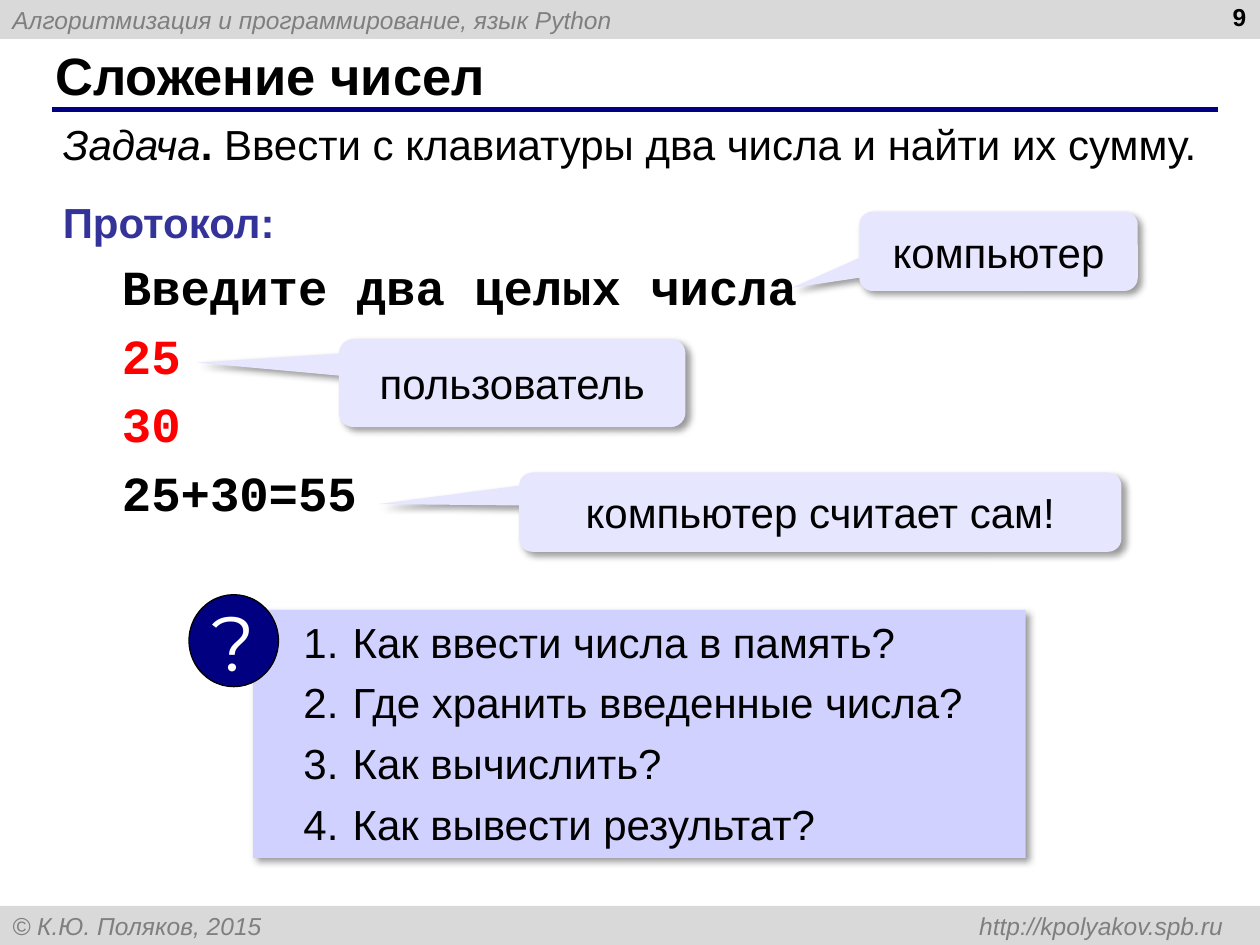
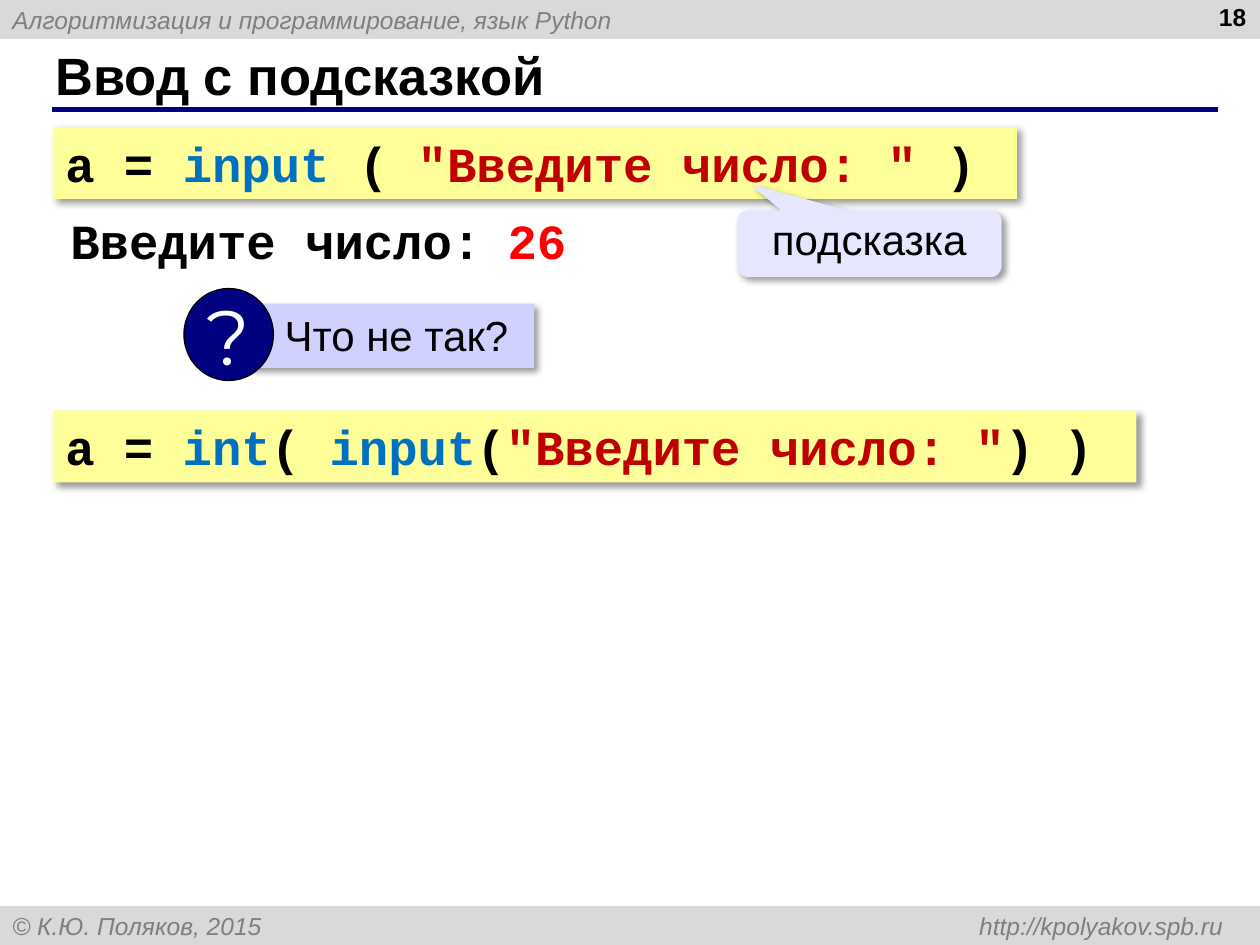
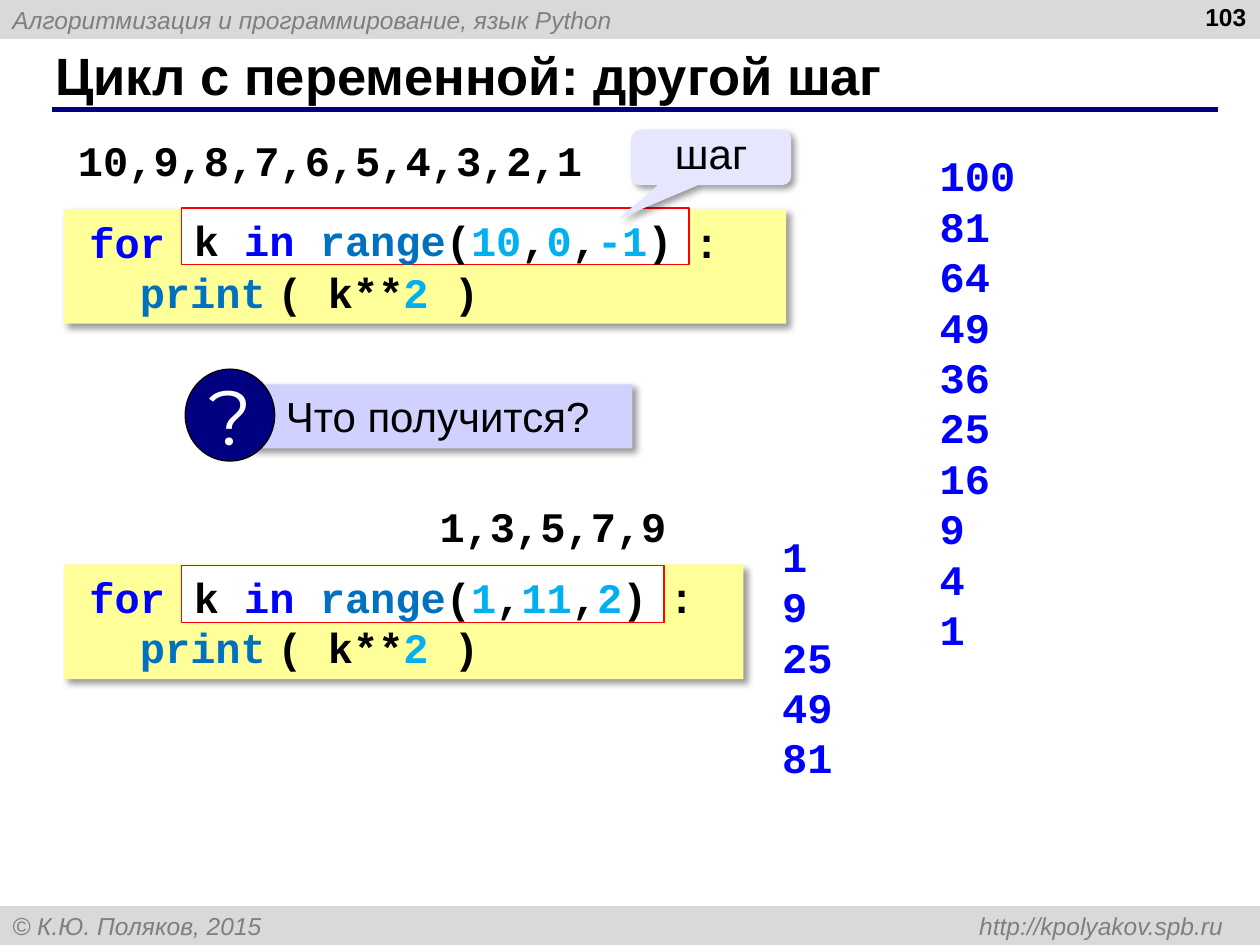
from lxml.etree import SubElement
from pptx import Presentation
from pptx.dml.color import RGBColor
from pptx.enum.shapes import MSO_CONNECTOR, MSO_SHAPE as Kind
from pptx.enum.text import MSO_ANCHOR as Anchor, PP_ALIGN as Align
from pptx.oxml.ns import qn
from pptx.util import Inches, Pt

# Look
HUES = {
    "black": "000000", "white": "FFFFFF", "band": "D9D9D9", "grey": "7F7F7F",
    "navy": "000080", "head": "333399", "red": "FF0000", "call": "E6E6FF",
    "ask": "D1D1FF", "code": "FFFF99", "func": "0070C0", "quote": "C00000",
    "word": "0000FF", "num": "00B0F0",
}
SANS, MONO, MARK = "Arial", "Courier New", "Montserrat"

# Shared content
COURSE = "Алгоритмизация и программирование, язык Python"
FOOT = "© К.Ю. Поляков, 2015\thttp://kpolyakov.spb.ru"

# Slide 9: adding numbers
TASK = [("Задача", "black", {"italic": True}), (". ", "black", {"bold": True}),
        ("Ввести с клавиатуры два числа и найти их сумму.", "black")]
TALK = [("Введите два целых числа", "black"), ("25", "red"),
        ("30", "red"), ("25+30=55", "black")]
NOTES = [
    ("компьютер", (6.82, 1.68, 2.21, 0.63), (-0.742, 0.46)),
    ("пользователь", (2.69, 2.69, 2.75, 0.7), (-0.911, -0.231)),
    ("компьютер считает сам!", (4.12, 3.75, 4.78, 0.63), (-0.733, -0.102)),
]
ASKS = ["Как ввести числа в память?", "Где хранить введенные числа?",
        "Как вычислить?", "Как вывести результат?"]

# Slide 18: input with a prompt
PROMPT = ('"Введите число: "', "quote")
INPUTS = [
    ((0.42, 1.01, 7.65, 0.57),
     [("a = ", "black"), ("input", "func"), (" ( ", "black"), PROMPT, (" )", "black")]),
    ((0.42, 3.26, 8.6, 0.57),
     [("a = ", "black"), ("int", "func"), ("( ", "black"), ("input", "func"),
      ("(", "black"), PROMPT, (") )", "black")]),
]

# Slide 103: loops, as top, width, range box top and width, colon tab, range values
LOOPS = [
    (1.66, 5.73, 1.65, 4.03, 4.8, ["10", "0", "-1"]),
    (4.48, 5.39, 4.49, 3.83, 4.6, ["1", "11", "2"]),
]
LISTS = [("10,9,8,7,6,5,4,3,2,1", (0.52, 1.02, 4.23, 0.51)),
         ("1,3,5,7,9", (3.39, 3.92, 2.02, 0.5))]
RESULTS = [((7.36, 1.14, 0.81, 4.14), range(10, 0, -1)),
           ((6.11, 4.16, 0.6, 2.12), range(1, 11, 2))]
BODY = [("print", "func"), (" ", "black", {"name": SANS}), ("( k**", "black"),
        ("2", "num"), (" )", "black")]


def rgb(hue):
    return RGBColor.from_string(HUES[hue])


def shade(shape):
    fx = SubElement(shape._element.spPr, qn("a:effectLst"))
    drop = SubElement(fx, qn("a:outerShdw"), blurRad=str(Pt(4)), dist=str(Pt(3)),
                      dir="2700000", algn="tl", rotWithShape="0")
    hue = SubElement(drop, qn("a:srgbClr"), val=HUES["black"])
    SubElement(hue, qn("a:alpha"), val="40000")


def box(shapes, at, kind=None, fill=None, line=None, drop=False, anchor=Anchor.TOP):
    """Add a text box or a preset shape."""
    at = [Inches(n) for n in at]
    if kind is None:
        shape = shapes.add_textbox(*at)
    else:
        shape = shapes.add_shape(kind, *at)
        shape.fill.solid()
        shape.fill.fore_color.rgb = rgb(fill)
        if line:
            shape.line.color.rgb = rgb(line)
            shape.line.width = Pt(0.75)
        else:
            shape.line.fill.background()
        if drop:
            shade(shape)
        else:
            shape.shadow.inherit = False
    shape.text_frame.word_wrap = True
    shape.text_frame.vertical_anchor = anchor
    return shape


def write(shape, runs, size=24, face=SANS, hue="black", bold=False, italic=False,
          align=Align.LEFT, left=0, first=0, gap=0, lead=None, tab=None, count=False):
    """Add one paragraph: a string, or a list of (text, hue, font settings)."""
    frame = shape.text_frame
    para = frame.paragraphs[0]
    if para.runs:
        para = frame.add_paragraph()
        para.space_before = Pt(gap)
    para.alignment = align
    props = para._p.get_or_add_pPr()
    # An explicit indent makes LibreOffice reset the tab stops
    if tab:
        stops = SubElement(props, qn("a:tabLst"))
        SubElement(stops, qn("a:tab"), pos=str(Inches(tab[0])), algn=tab[1])
    else:
        props.set("marL", str(Inches(left)))
        props.set("indent", str(Inches(first)))
    if count:
        SubElement(props, qn("a:buFont"), typeface=SANS)
        SubElement(props, qn("a:buAutoNum"), type="arabicPeriod")
    if lead:
        para.line_spacing = lead
    font = para.font
    font.size, font.name, font.bold, font.italic = Pt(size), face, bold, italic
    font.color.rgb = rgb(hue)
    for text, tint, *more in [(runs, hue)] if isinstance(runs, str) else runs:
        run = para.add_run()
        run.text = text
        if tint != hue:
            run.font.color.rgb = rgb(tint)
        for key, value in (more[0] if more else {}).items():
            setattr(run.font, key, value)


def start(deck, number, title):
    """Add a slide with its bands, title, rule and number."""
    slide = deck.slides.add_slide(deck.slide_layouts[6])
    shapes = slide.shapes
    for top, text, tab in [(0, COURSE, None), (7.19, FOOT, (9.61, "r"))]:
        band = box(shapes, (0, top, 10, 0.31), Kind.RECTANGLE, "band", anchor=Anchor.MIDDLE)
        write(band, text, 14, hue="grey", italic=True, tab=tab)
    rule = shapes.add_connector(MSO_CONNECTOR.STRAIGHT, Inches(0.41), Inches(0.87),
                                Inches(9.67), Inches(0.87))
    rule.line.color.rgb = rgb("navy")
    rule.line.width = Pt(3)
    SubElement(rule._element.spPr, qn("a:effectLst"))
    write(box(shapes, (0.34, 0.33, 9.16, 0.52), anchor=Anchor.MIDDLE), title, 30, bold=True)
    page = box(shapes, (7.66, 0, 2.33, 0.5))
    page.text_frame.margin_top = Inches(0.02)
    write(page, str(number), 14, bold=True, align=Align.RIGHT)
    return shapes


def callout(shapes, text, at, tip, lead=None):
    shape = box(shapes, at, Kind.ROUNDED_RECTANGULAR_CALLOUT, "call", drop=True,
                anchor=Anchor.MIDDLE)
    for i, value in enumerate((*tip, 0.167)):
        shape.adjustments[i] = value
    write(shape, text, align=Align.CENTER, lead=lead)


def ask(shapes, at, lines):
    """Add a question panel with its round mark; several lines are numbered."""
    group = shapes.add_group_shape().shapes
    panel = box(group, at, Kind.RECTANGLE, "ask", drop=True)
    many = len(lines) > 1
    for line in lines:
        write(panel, line, left=0.69 if many else 0.19, first=-0.39 if many else 0,
              gap=6, count=many)
    mark = box(group, (at[0] - 0.51, at[1] - 0.12, 0.71, 0.73), Kind.OVAL, "navy", "black",
               anchor=Anchor.MIDDLE)
    mark.text_frame.margin_left = mark.text_frame.margin_right = 0
    write(mark, "?", 44, MARK, "white", align=Align.CENTER)


def add_sum(deck):
    shapes = start(deck, 9, "Сложение чисел")
    write(box(shapes, (0.4, 0.89, 9.42, 0.51)), TASK)
    talk = box(shapes, (0.4, 1.51, 9.06, 2.77))
    write(talk, "Протокол:", hue="head", bold=True)
    for text, hue in TALK:
        write(talk, text, 28, MONO, hue, bold=True, left=0.47, gap=5.6)
    for note in NOTES:
        callout(shapes, *note)
    ask(shapes, (2.01, 4.84, 6.13, 1.97), ASKS)


def add_input(deck):
    shapes = start(deck, 18, "Ввод с подсказкой")
    for at, runs in INPUTS:
        panel = box(shapes, at, Kind.RECTANGLE, "code", drop=True)
        write(panel, runs, 28, MONO, bold=True)
    callout(shapes, "подсказка", (5.85, 1.67, 2.1, 0.53), (-0.449, -0.891), 0.8)
    write(box(shapes, (0.46, 1.62, 3.48, 0.57)), "Введите число:", 28, MONO, bold=True)
    write(box(shapes, (3.93, 1.62, 0.67, 0.57)), "26", 28, MONO, "red", bold=True)
    ask(shapes, (1.97, 2.41, 2.27, 0.51), ["Что не так?"])


def add_loop(deck):
    shapes = start(deck, 103, "Цикл с переменной: другой шаг")
    for at, values in RESULTS:
        column = box(shapes, at)
        for k in values:
            write(column, str(k ** 2), face=MONO, hue="word", bold=True)
    ask(shapes, (1.98, 3.05, 3.04, 0.51), ["Что получится?"])
    for top, width, high, wide, colon, values in LOOPS:
        panel = box(shapes, (0.51, top, width, 0.91), Kind.RECTANGLE, "code", drop=True,
                    anchor=Anchor.MIDDLE)
        panel.text_frame.margin_left = Inches(0.2)
        write(panel, [("for", "word"), ("\t:", "black")], face=MONO, bold=True,
              tab=(colon, "l"))
        write(panel, BODY, face=MONO, bold=True, left=0.4)
        runs = [("k ", "black"), ("in ", "word"), ("range", "func")]
        for i, value in enumerate(values):
            runs += [("," if i else "(", "black"), (value, "num")]
        inner = box(shapes, (1.44, high, wide, 0.45), Kind.RECTANGLE, "white", "red")
        inner.text_frame.margin_bottom = 0
        write(inner, runs + [(")", "black")], face=MONO, bold=True)
    callout(shapes, "шаг", (5.01, 1.03, 1.27, 0.44), (-0.58, 1.108), 0.8)
    for text, at in LISTS:
        write(box(shapes, at), text, face=MONO, bold=True)


def main():
    deck = Presentation()
    deck.slide_width, deck.slide_height = Inches(10), Inches(7.5)
    add_sum(deck)
    add_input(deck)
    add_loop(deck)
    deck.save("out.pptx")


if __name__ == "__main__":
    main()
